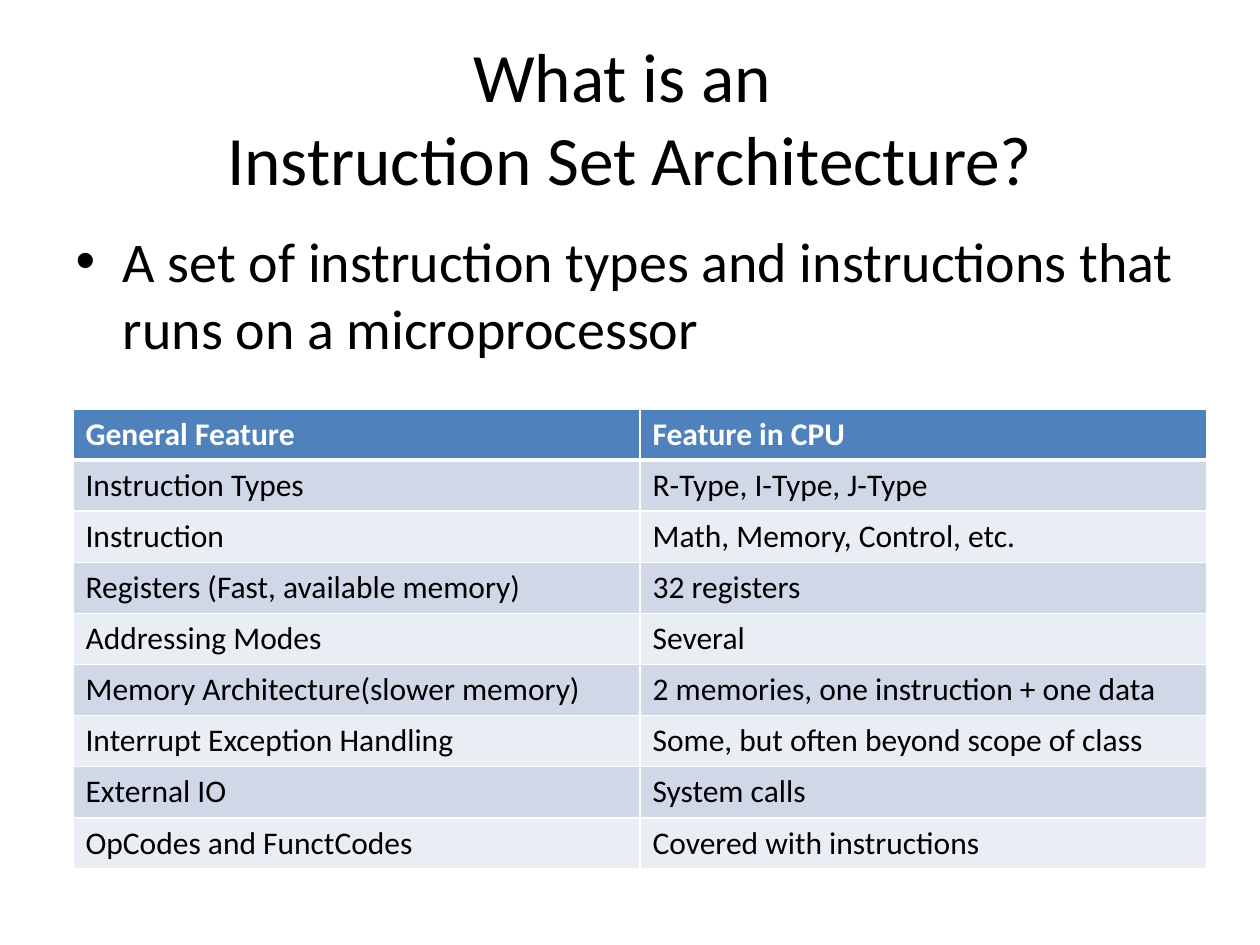
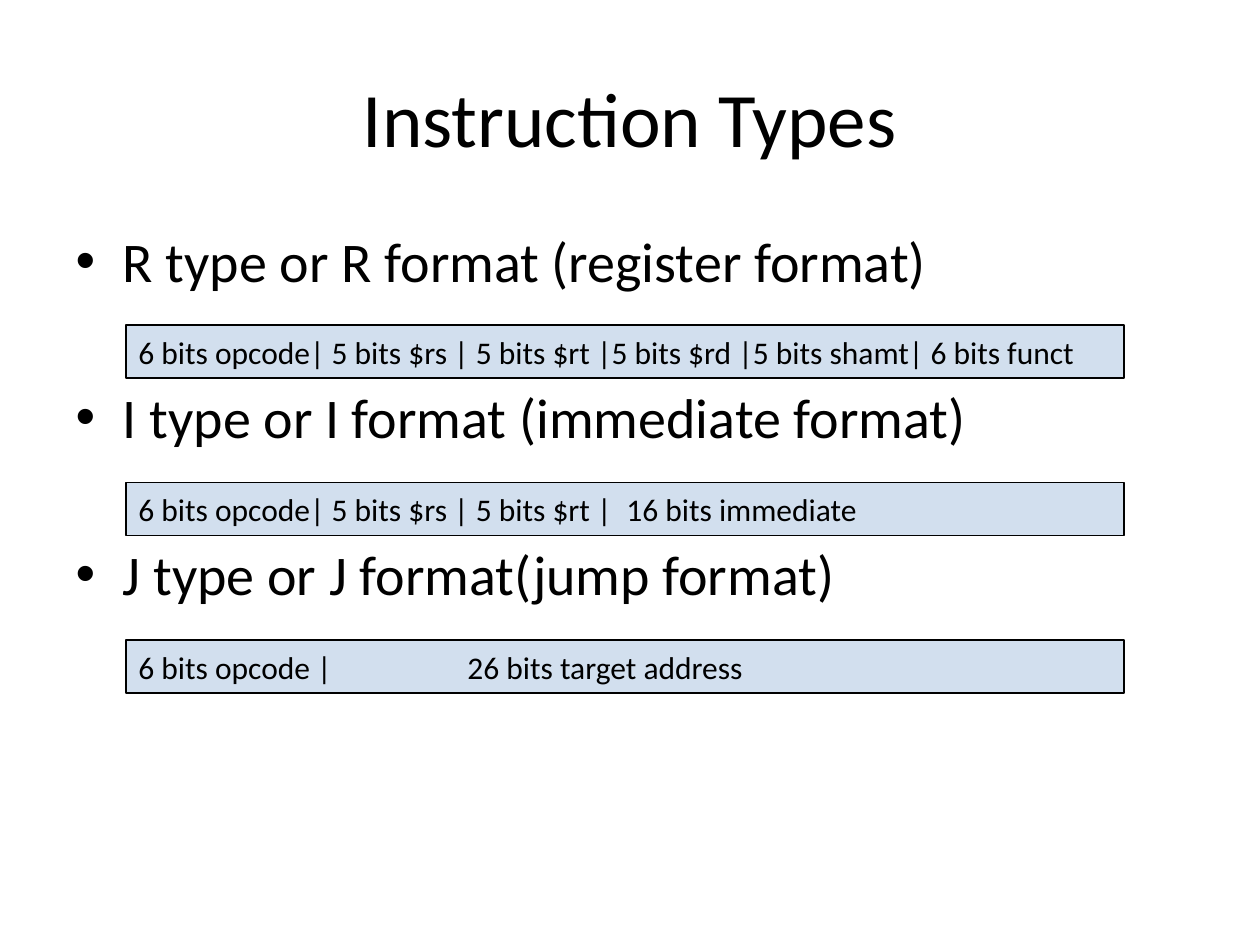
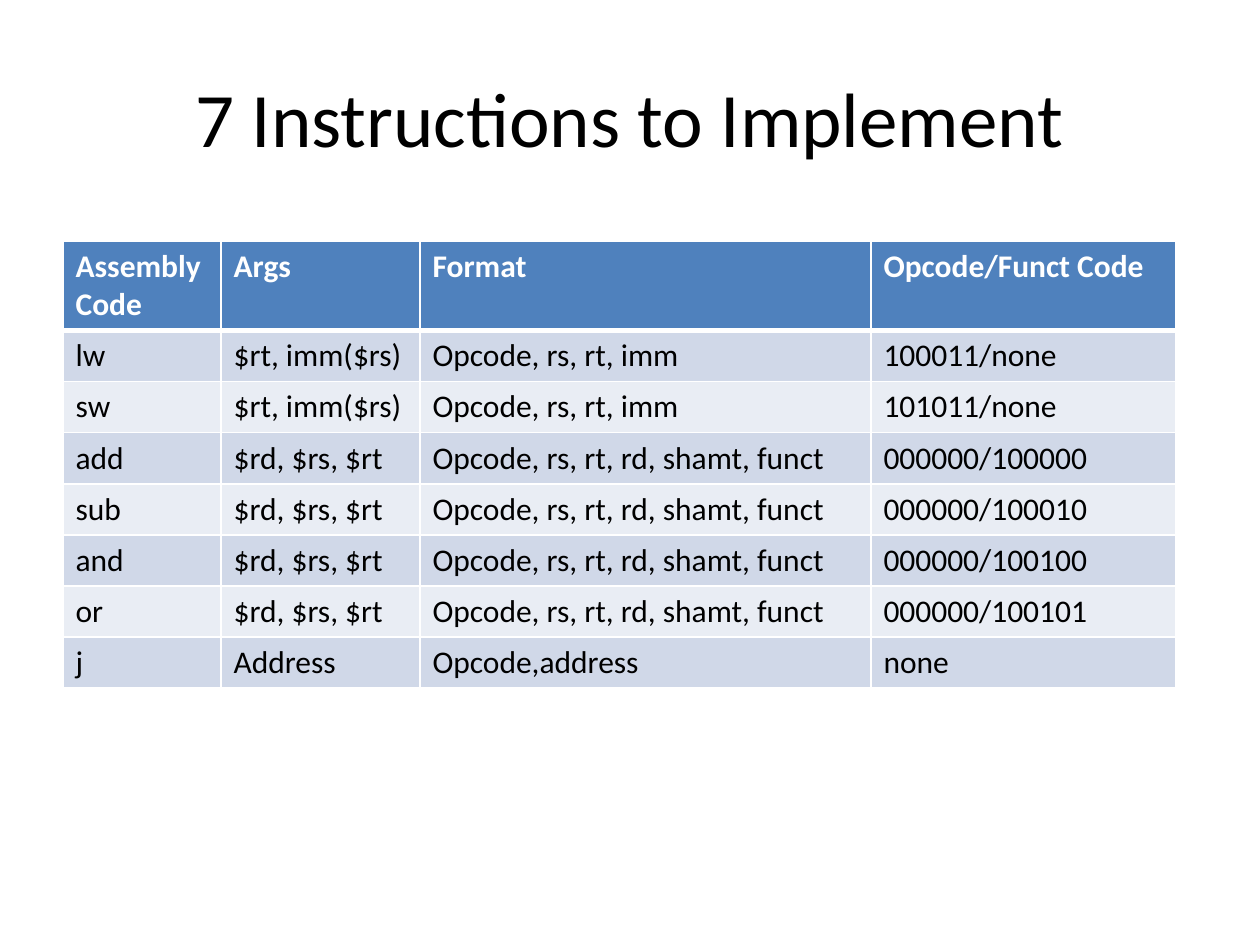
from dataclasses import dataclass

from lxml.etree import SubElement
from pptx import Presentation
from pptx.dml.color import RGBColor
from pptx.enum.shapes import MSO_SHAPE
from pptx.enum.text import MSO_ANCHOR, MSO_AUTO_SIZE, PP_ALIGN
from pptx.oxml.ns import qn
from pptx.util import Emu, Pt

# Content
ARCHITECTURE = {
    "title": "What is an \vInstruction Set Architecture?",
    "bullets": ["A set of instruction types and instructions that runs on a microprocessor"],
    "rows": [
        ("General Feature", "Feature in CPU"),
        ("Instruction Types", "R-Type, I-Type, J-Type"),
        ("Instruction", "Math, Memory, Control, etc."),
        ("Registers (Fast, available memory)", "32 registers"),
        ("Addressing Modes", "Several"),
        ("Memory Architecture(slower memory)", "2 memories, one instruction + one data"),
        ("Interrupt Exception Handling", "Some, but often beyond scope of class"),
        ("External IO", "System calls"),
        ("OpCodes and FunctCodes", "Covered with instructions"),
    ],
}

# Each type: bullet, bit layout, tab stop in pixels
TYPES_TITLE = "Instruction Types"
TYPES = [
    ("R type or R format (register format)",
     "6 bits opcode| 5 bits $rs | 5 bits $rt |5 bits $rd |5 bits shamt| 6 bits funct", None),
    ("I type or I format (immediate format)",
     "6 bits opcode| 5 bits $rs | 5 bits $rt |\t16 bits immediate", 488),
    ("J type or J format(jump format)",
     "6 bits opcode |\t26 bits target address", 329),
]

MEMORY_FORMAT = "Opcode, rs, rt, imm"
REGISTER_FORMAT = "Opcode, rs, rt, rd, shamt, funct"
INSTRUCTIONS = {
    "title": "7 Instructions to Implement",
    "rows": [
        ("Assembly\nCode", "Args", "Format", "Opcode/Funct Code"),
        ("lw", "$rt, imm($rs)", MEMORY_FORMAT, "100011/none"),
        ("sw", "$rt, imm($rs)", MEMORY_FORMAT, "101011/none"),
        ("add", "$rd, $rs, $rt", REGISTER_FORMAT, "000000/100000"),
        ("sub", "$rd, $rs, $rt", REGISTER_FORMAT, "000000/100010"),
        ("and", "$rd, $rs, $rt", REGISTER_FORMAT, "000000/100100"),
        ("or", "$rd, $rs, $rt", REGISTER_FORMAT, "000000/100101"),
        ("j", "Address", "Opcode,address", "none"),
    ],
}


# Theme and scale
@dataclass(frozen=True)
class Theme:
    font: str = "Calibri"
    ink: str = "000000"
    paper: str = "FFFFFF"
    accent: str = "4F81BD"
    bands: tuple = ("D0D8E8", "E9EDF4")
    title_size: float = 44
    small_title_size: float = 39.6
    body_size: float = 32
    detail_size: float = 18
    thin_rule: float = 1
    thick_rule: float = 3


THEME = Theme()
PIXEL = 914400 / 126
TITLE_BOX = (63, 38, 1134, 157)
BODY_BOX = (63, 220, 1134, 624)
ROW_HEIGHT = 51
BAR_LEFT, BAR_WIDTH, BAR_HEIGHT = 126, 998, 53
FIRST_BAR_TOP, LAST_BAR_TOP = 325, 640


def px(pixels):
    return Emu(round(pixels * PIXEL))


def write_text(frame, text, size=THEME.detail_size, color=THEME.ink, bold=False,
               align=PP_ALIGN.LEFT, before=0, gap=0, tab=None):
    """Write one paragraph per line; gap is the space before later ones."""
    for index, line in enumerate(text.split("\n")):
        para = frame.paragraphs[0] if index == 0 else frame.add_paragraph()
        para.text = line
        para.alignment = align
        para.space_before = Pt(gap if index else before)
        for span in para.runs:
            span.font.name = THEME.font
            span.font.size = Pt(size)
            span.font.bold = bold
            span.font.color.rgb = RGBColor.from_string(color)
        if tab:
            stops = SubElement(para._p.get_or_add_pPr(), qn("a:tabLst"))
            SubElement(stops, qn("a:tab"), pos=str(px(tab)), algn="l")


def place(shape, box):
    shape.left, shape.top, shape.width, shape.height = map(px, box)


def add_page(deck, layout, title, size=THEME.title_size):
    page = deck.slides.add_slide(deck.slide_layouts[layout])
    heading = page.shapes.title
    place(heading, TITLE_BOX)
    heading.text_frame.auto_size = MSO_AUTO_SIZE.NONE
    heading.text_frame.vertical_anchor = MSO_ANCHOR.MIDDLE
    write_text(heading.text_frame, title, size=size, align=PP_ALIGN.CENTER)
    return page


def fill_body(page, bullets, gap=0):
    body = page.placeholders[1]
    place(body, BODY_BOX)
    body.text_frame.auto_size = MSO_AUTO_SIZE.NONE
    write_text(body.text_frame, "\n".join(bullets), size=THEME.body_size,
               before=THEME.body_size * 0.2, gap=gap)


def rule_cell(cell, row):
    properties = cell._tc.get_or_add_tcPr()
    thick_side = {0: "lnB", 1: "lnT"}.get(row)
    for side in ("lnL", "lnR", "lnT", "lnB"):
        weight = THEME.thick_rule if side == thick_side else THEME.thin_rule
        line = SubElement(properties, qn(f"a:{side}"), w=str(Pt(weight)))
        SubElement(SubElement(line, qn("a:solidFill")), qn("a:srgbClr"), val=THEME.paper)


def add_grid(page, rows, left, top, widths, header_height=ROW_HEIGHT):
    heights = [header_height] + [ROW_HEIGHT] * (len(rows) - 1)
    table = page.shapes.add_table(len(rows), len(widths), px(left), px(top),
                                  px(sum(widths)), px(sum(heights))).table
    for column, width in zip(table.columns, widths):
        column.width = px(width)
    for row, (texts, height) in enumerate(zip(rows, heights)):
        table.rows[row].height = px(height)
        header = row == 0
        color = THEME.accent if header else THEME.bands[(row - 1) % 2]
        for column, text in enumerate(texts):
            cell = table.cell(row, column)
            rule_cell(cell, row)
            cell.fill.solid()
            cell.fill.fore_color.rgb = RGBColor.from_string(color)
            write_text(cell.text_frame, text, bold=header,
                       color=THEME.paper if header else THEME.ink)


def add_bar(page, top, text, tab):
    bar = page.shapes.add_shape(MSO_SHAPE.RECTANGLE, px(BAR_LEFT), px(top),
                                px(BAR_WIDTH), px(BAR_HEIGHT))
    bar.shadow.inherit = False
    bar.fill.solid()
    bar.fill.fore_color.rgb = RGBColor.from_string(THEME.accent)
    tint = bar._element.spPr.find(qn("a:solidFill")).find(qn("a:srgbClr"))
    SubElement(tint, qn("a:alpha"), val="25000")
    bar.line.color.rgb = RGBColor.from_string(THEME.ink)
    bar.line.width = Pt(0.75)
    bar.text_frame.word_wrap = True
    bar.text_frame.vertical_anchor = MSO_ANCHOR.MIDDLE
    write_text(bar.text_frame, text, tab=tab)


deck = Presentation()
deck.slide_width, deck.slide_height = px(1260), px(945)

# Slide 1: what an architecture is
page = add_page(deck, 1, ARCHITECTURE["title"], size=THEME.small_title_size)
fill_body(page, ARCHITECTURE["bullets"])
add_grid(page, ARCHITECTURE["rows"], 73, 409, [567, 567])

# Slide 2: instruction types, a bit layout under each bullet
page = add_page(deck, 1, TYPES_TITLE)
fill_body(page, [bullet for bullet, _, _ in TYPES], gap=51)
bar_step = (LAST_BAR_TOP - FIRST_BAR_TOP) / (len(TYPES) - 1)
for index, (_, bits, tab) in enumerate(TYPES):
    add_bar(page, FIRST_BAR_TOP + index * bar_step, bits, tab)

# Slide 3: instructions to implement
page = add_page(deck, 5, INSTRUCTIONS["title"])
add_grid(page, INSTRUCTIONS["rows"], 63, 241, [158, 199, 451, 305], header_height=89)

deck.save("out.pptx")
